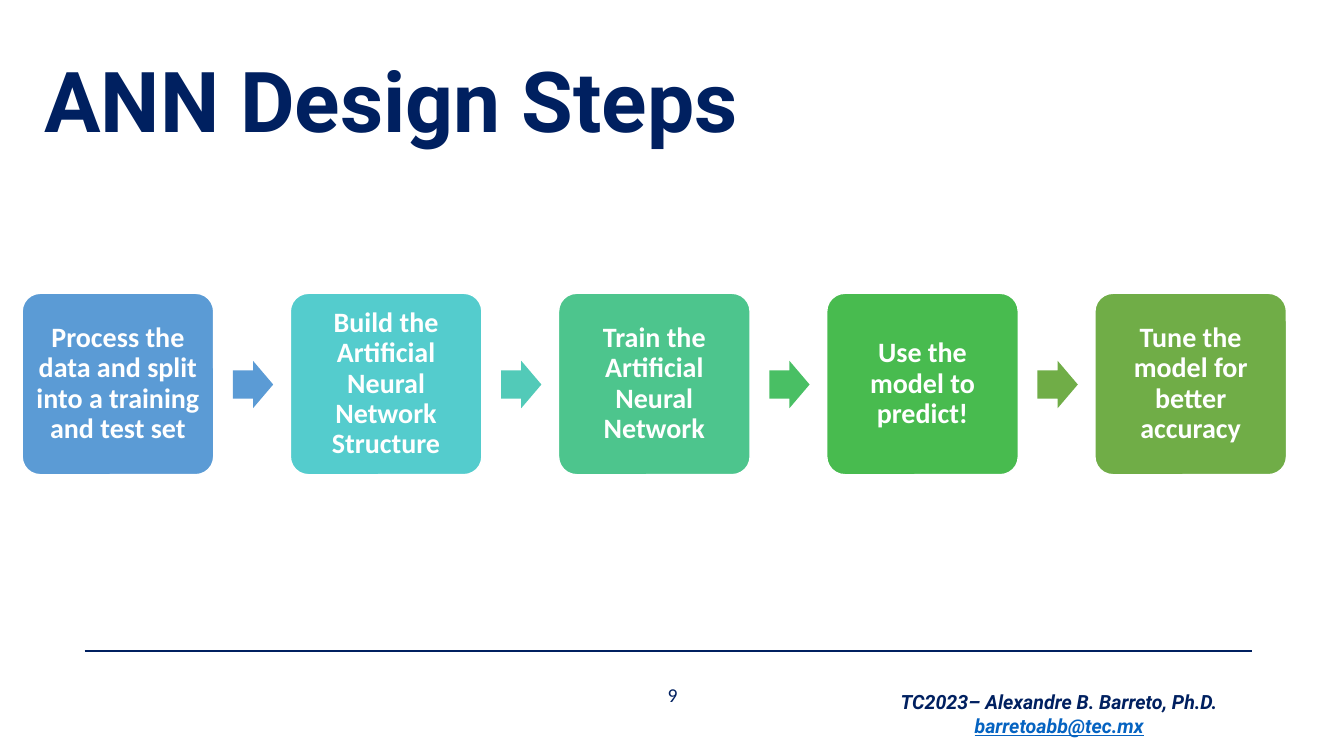
from pptx import Presentation
from pptx.dml.color import RGBColor
from pptx.enum.shapes import MSO_CONNECTOR, MSO_SHAPE
from pptx.enum.text import MSO_ANCHOR, PP_ALIGN
from pptx.oxml.ns import qn
from pptx.util import Inches, Pt
from lxml import etree

LEFT, CENTER = PP_ALIGN.LEFT, PP_ALIGN.CENTER
TOP, MIDDLE = MSO_ANCHOR.TOP, MSO_ANCHOR.MIDDLE
ROUNDED, ARROW = MSO_SHAPE.ROUNDED_RECTANGLE, MSO_SHAPE.RIGHT_ARROW

COLORS = {
    "navy": "002060", "link": "0563C1", "white": "FFFFFF",
    "blue": "5B9BD5", "cyan": "54CCCD", "teal": "52CAB8", "mint": "4DC58D",
    "emerald": "49BF64", "green": "48BB4F", "olive": "70AD47",
}


def color(name):
    return RGBColor.from_string(COLORS[name])


def add_text(shape, lines, size, font_name, align, anchor, spacing=1.0,
             bold=False, italic=False):
    """Fill a shape with lines of (text, color name, underline)."""
    frame = shape.text_frame
    frame.word_wrap = True
    frame.vertical_anchor = anchor
    for index, (text, color_name, underline) in enumerate(lines):
        paragraph = frame.add_paragraph() if index else frame.paragraphs[0]
        paragraph.alignment = align
        paragraph.line_spacing = spacing
        run = paragraph.add_run()
        run.text = text
        run.font.name = font_name
        run.font.size = Pt(size)
        run.font.bold = bold
        run.font.italic = italic
        run.font.underline = underline
        run.font.color.rgb = color(color_name)


presentation = Presentation()
presentation.slide_width = Inches(13.33)
presentation.slide_height = Inches(7.5)
slide = presentation.slides.add_slide(presentation.slide_layouts[6])
shapes = slide.shapes

# Title
title = shapes.add_textbox(Inches(0.34), Inches(0.32), Inches(11.5), Inches(1.45))
add_text(title, [("ANN Design Steps", "navy", False)], 60, "Roboto", LEFT, MIDDLE,
         spacing=0.9, bold=True)

# Process steps: text, box color, color of the arrow that follows
steps = [
    ("Process the data and split into a training and test set", "blue", "blue"),
    ("Build the Artificial Neural Network Structure", "cyan", "teal"),
    ("Train the Artificial Neural Network", "mint", "emerald"),
    ("Use the model to predict!", "green", "olive"),
    ("Tune the model for better accuracy", "olive", None),
]
first_left, pitch, arrow_offset = Inches(0.22), Inches(2.66), Inches(2.09)
for index, (text, box_color, arrow_color) in enumerate(steps):
    left = first_left + index * pitch
    box = shapes.add_shape(ROUNDED, left, Inches(2.91), Inches(1.9), Inches(1.8))
    box.adjustments[0] = 0.1
    box.shadow.inherit = False
    box.fill.solid()
    box.fill.fore_color.rgb = color(box_color)
    box.line.color.rgb = color("white")
    box.line.width = Pt(1)
    frame = box.text_frame
    frame.margin_left = frame.margin_right = Inches(0.08)
    frame.margin_top = frame.margin_bottom = Inches(0.08)
    add_text(box, [(text, "white", False)], 20, "Calibri", CENTER, MIDDLE,
             spacing=0.9, bold=True)
    if arrow_color:
        arrow = shapes.add_shape(ARROW, left + arrow_offset, Inches(3.58),
                                 Inches(0.4), Inches(0.47))
        arrow.adjustments[0] = 0.6
        arrow.adjustments[1] = 0.5
        arrow.shadow.inherit = False
        arrow.fill.solid()
        arrow.fill.fore_color.rgb = color(arrow_color)
        arrow.line.fill.background()

# Footer rule
rule = shapes.add_connector(MSO_CONNECTOR.STRAIGHT, Inches(0.84), Inches(6.46),
                            Inches(12.42), Inches(6.46))
rule.line.color.rgb = color("navy")
rule.line.width = Pt(1.5)
etree.SubElement(rule._element.spPr, qn("a:effectLst"))

# Page number and author
number = shapes.add_textbox(Inches(5.81), Inches(6.79), Inches(1.72), Inches(0.2))
add_text(number, [("9", "navy", False)], 14, "Calibri", CENTER, MIDDLE)
author = shapes.add_textbox(Inches(8.67), Inches(6.8), Inches(3.67), Inches(0.57))
add_text(author, [("TC2023– Alexandre B. Barreto, Ph.D.", "navy", False),
                  ("barretoabb@tec.mx", "link", True)],
         14, "Roboto", CENTER, TOP, bold=True, italic=True)

presentation.save("out.pptx")
